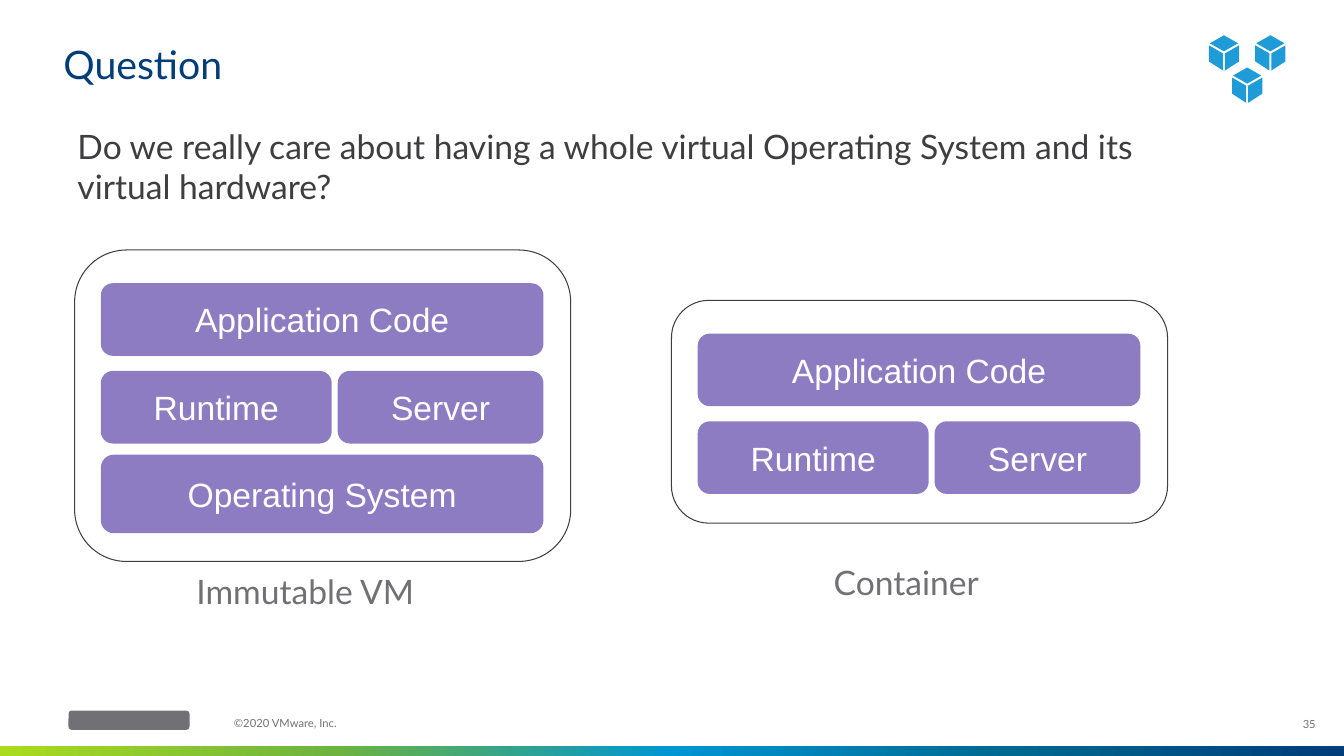
from dataclasses import dataclass
from itertools import product
from lxml.etree import SubElement
from pptx import Presentation
from pptx.dml.color import RGBColor
from pptx.enum.shapes import MSO_SHAPE as Geo
from pptx.enum.text import MSO_ANCHOR as Anchor, PP_ALIGN as Align
from pptx.oxml.ns import qn
from pptx.util import Inches, Pt

WHITE = RGBColor(0xFF, 0xFF, 0xFF)
NAVY = RGBColor(0x00, 0x3D, 0x79)
BLUE = RGBColor(0x1F, 0x9B, 0xD8)
VIOLET = RGBColor(0x8E, 0x7C, 0xC3)
GREY = RGBColor(0x71, 0x70, 0x74)
DARK = RGBColor(0x3E, 0x3E, 0x40)
EDGE = RGBColor(0x3F, 0x3F, 0x3F)
LIME = RGBColor(0xAA, 0xDB, 0x1E)
GREEN = RGBColor(0x6D, 0xB3, 0x3F)
AZURE = RGBColor(0x00, 0x95, 0xD3)
TEAL = RGBColor(0x00, 0x69, 0x90)


@dataclass(frozen=True)
class Box:
    left: float
    top: float
    width: float
    height: float

    def shift(self, dx: float, dy: float) -> "Box":
        return Box(self.left + dx, self.top + dy, self.width, self.height)

    def place(self) -> list:
        return [Inches(n) for n in (self.left, self.top, self.width, self.height)]


@dataclass(frozen=True)
class Block:
    label: str
    box: Box


@dataclass(frozen=True)
class Stack:
    frame: Box
    blocks: tuple
    title: str
    label: Box


APP = Block("Application Code", Box(0.26, 0.33, 4.39, 0.72))
RUN = Block("Runtime", Box(0.26, 1.2, 2.29, 0.72))
SERVER = Block("Server", Box(2.61, 1.2, 2.04, 0.72))
SYSTEM = Block("Operating System", Box(0.26, 2.03, 4.39, 0.78))

STACKS = (
    Stack(Box(0.74, 2.48, 4.92, 3.09), (APP, RUN, SERVER, SYSTEM),
          "Immutable VM", Box(1.85, 5.56, 2.84, 0.45)),
    Stack(Box(6.66, 2.98, 4.92, 2.21), (APP, RUN, SERVER),
          "Container", Box(8.17, 5.47, 1.8, 0.45)),
)

CUBES = ((12.14, 0.35), (12.6, 0.35), (12.37, 0.67))
FACES = (
    ((0, 0), (-0.14, 0.08), (0, 0.16), (0.14, 0.08)),
    ((-0.15, 0.1), (-0.15, 0.26), (-0.01, 0.35), (-0.01, 0.18)),
    ((0.15, 0.1), (0.01, 0.18), (0.01, 0.35), (0.15, 0.26)),
)


def write(shape, text: str, *, size: float = 24, font: str = "Lato",
          color: RGBColor = GREY, align=Align.LEFT, anchor=Anchor.TOP,
          pad: tuple = (0, 0), space: float = 1.0) -> None:
    frame = shape.text_frame
    frame.word_wrap = True
    frame.vertical_anchor = anchor
    frame.margin_left = frame.margin_right = Inches(pad[0])
    frame.margin_top = frame.margin_bottom = Inches(pad[1])
    para = frame.paragraphs[0]
    para.alignment = align
    para.line_spacing = space
    run = para.add_run()
    run.text = text
    run.font.size = Pt(size)
    run.font.name = font
    run.font.color.rgb = color


def add_text(slide, box: Box, text: str, **style) -> None:
    write(slide.shapes.add_textbox(*box.place()), text, **style)


def add_box(slide, box: Box, kind=Geo.ROUNDED_RECTANGLE, fill=None, line=None):
    shape = slide.shapes.add_shape(kind, *box.place())
    shape.shadow.inherit = False
    if fill is None:
        shape.fill.background()
    else:
        shape.fill.solid()
        shape.fill.fore_color.rgb = fill
    if line is None:
        shape.line.fill.background()
    else:
        shape.line.color.rgb = line
        shape.line.width = Pt(0.75)
    return shape


def add_stripe(slide, box: Box, colors: tuple) -> None:
    shape = add_box(slide, box, Geo.RECTANGLE)
    shape.fill.gradient()
    shape.fill.gradient_angle = 0
    stops = shape.element.spPr.find(qn("a:gradFill")).find(qn("a:gsLst"))
    for stop in list(stops):
        stops.remove(stop)
    for i, color in enumerate(colors):
        stop = SubElement(stops, qn("a:gs"), pos=str(i * 100000 // (len(colors) - 1)))
        SubElement(stop, qn("a:srgbClr"), val=str(color))


def add_cubes(slide) -> None:
    faces = [[(Inches(x + dx), Inches(y + dy)) for dx, dy in face]
             for (x, y), face in product(CUBES, FACES)]
    pen = slide.shapes.build_freeform(*faces[0][0])
    for i, (start, *rest) in enumerate(faces):
        if i:
            pen.move_to(*start)
        pen.add_line_segments(rest, close=True)
    icon = pen.convert_to_shape()
    icon.shadow.inherit = False
    icon.fill.solid()
    icon.fill.fore_color.rgb = BLUE
    icon.line.fill.background()


def add_stack(slide, stack: Stack) -> None:
    frame = stack.frame
    add_box(slide, frame, line=EDGE)
    for block in stack.blocks:
        shape = add_box(slide, block.box.shift(frame.left, frame.top), fill=VIOLET)
        write(shape, block.label, font="Arial", color=WHITE, align=Align.CENTER,
              anchor=Anchor.MIDDLE, pad=(0.1, 0.1))
    add_text(slide, stack.label, stack.title, pad=(0.1, 0.1))


def main() -> None:
    deck = Presentation()
    deck.slide_width = Inches(13.33)
    deck.slide_height = Inches(7.5)
    slide = deck.slides.add_slide(deck.slide_layouts[6])
    add_stripe(slide, Box(0, 7.4, 13.33, 0.1), (LIME, GREEN, AZURE, TEAL, NAVY))
    add_box(slide, Box(0.68, 7.05, 1.2, 0.19), fill=GREY)
    add_text(slide, Box(12.57, 6.99, 0.48, 0.4), "35", size=8,
             align=Align.RIGHT, anchor=Anchor.MIDDLE, space=0.9)
    add_text(slide, Box(2.32, 7.12, 2.15, 0.16), "©2020 VMware, Inc.", size=8, space=0.9)
    add_text(slide, Box(0.63, 0.45, 12.03, 0.42), "Question", size=28, color=NAVY,
             anchor=Anchor.BOTTOM, space=0.9)
    add_cubes(slide)
    add_text(slide, Box(0.67, 1.2, 11.52, 0.67),
             "Do we really care about having a whole virtual Operating System "
             "and its virtual hardware?", color=DARK, pad=(0.1, 0.05))
    for stack in STACKS:
        add_stack(slide, stack)
    deck.save("out.pptx")


if __name__ == "__main__":
    main()
